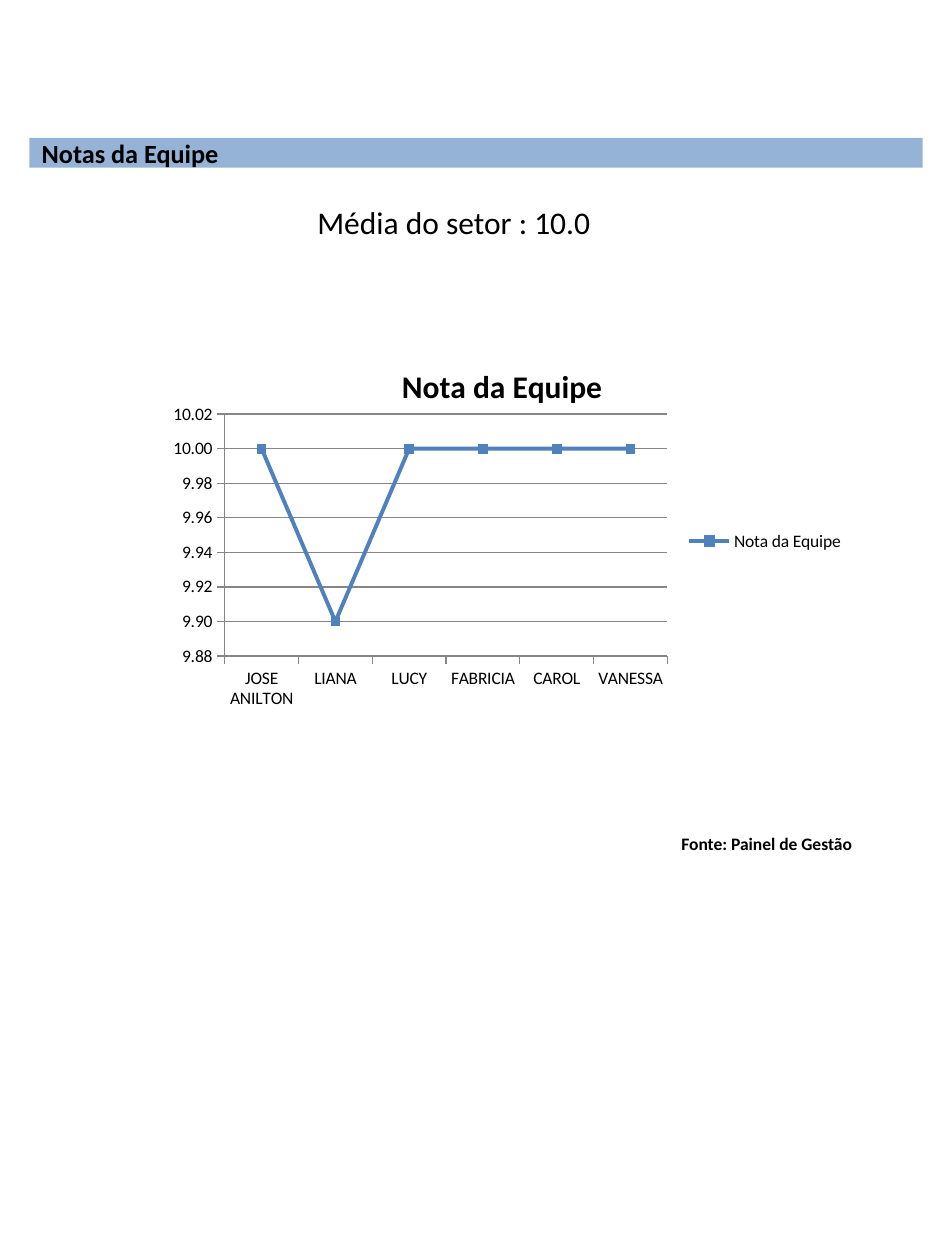
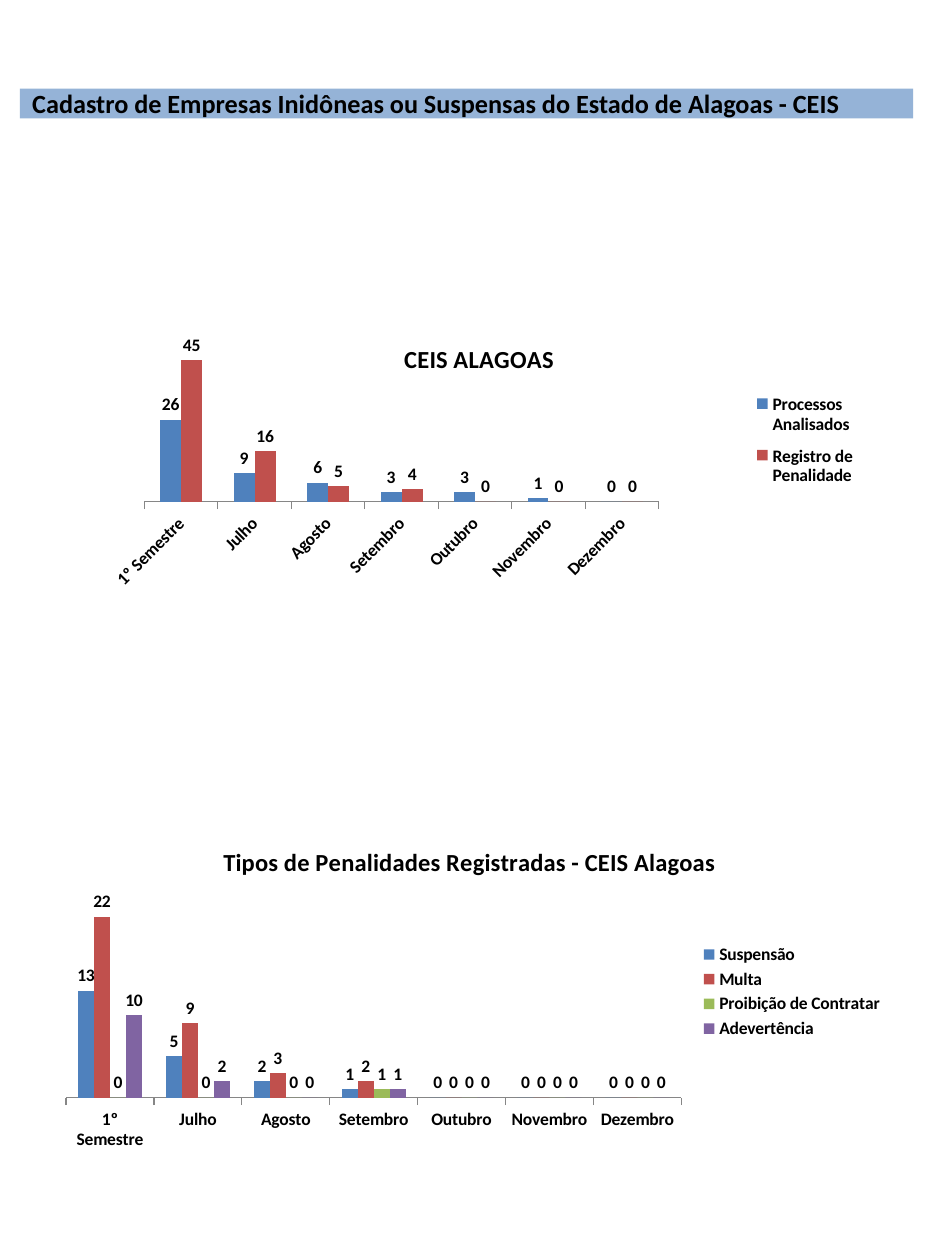
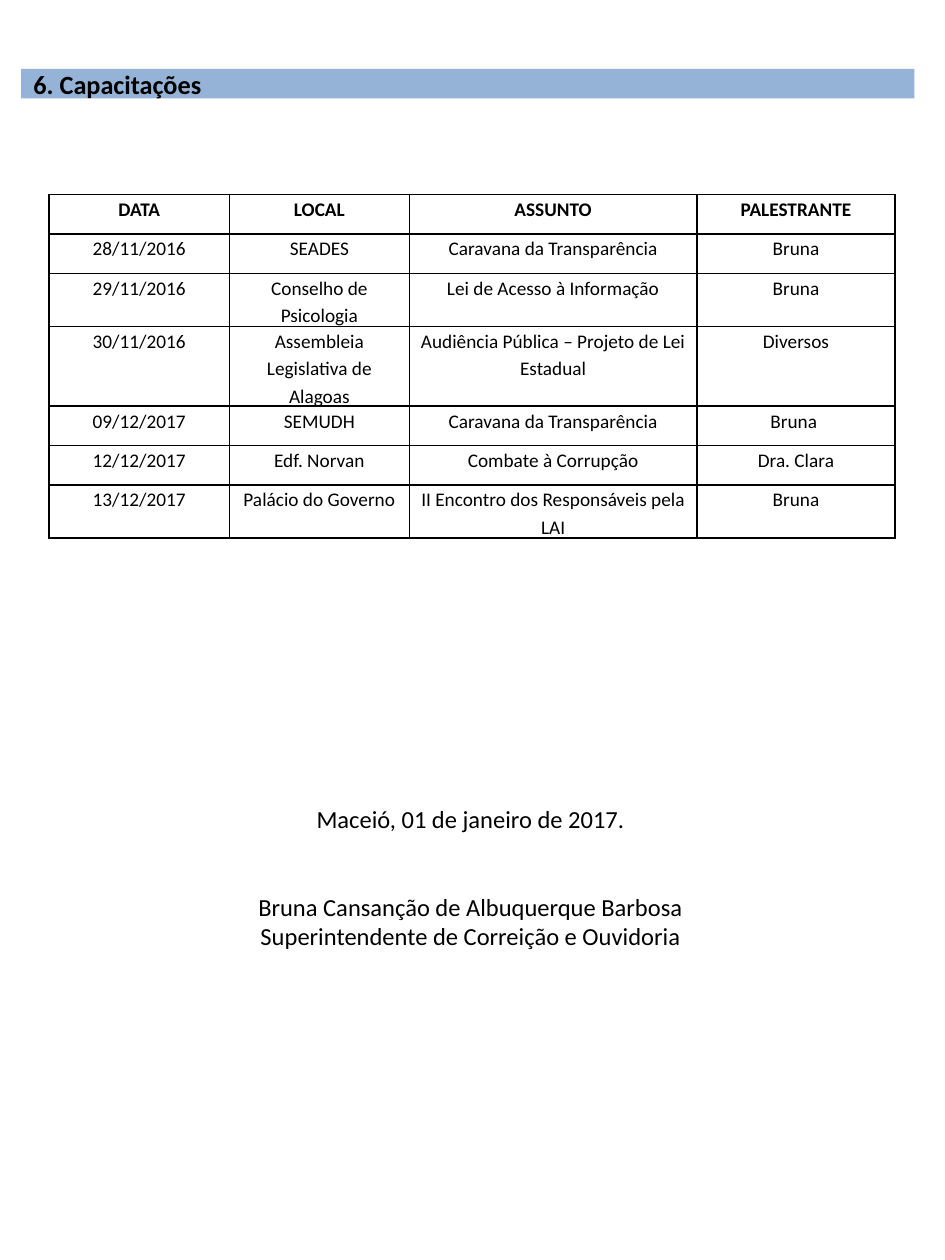
import pptx
import pptx.chart.data
import pptx.dml.color
import pptx.enum.chart
import pptx.enum.shapes
import pptx.enum.text
import pptx.oxml
import pptx.oxml.ns
import pptx.util

FONT = "Calibri"
COLORS = {"band": "95B3D7", "text": "000000", "axis": "868686", "blue": "4F81BD",
          "red": "C0504D", "green": "9BBB59", "purple": "8064A2"}
SERIES_COLORS = ["blue", "red", "green", "purple"]
SLIDE_WIDTH, SLIDE_HEIGHT = pptx.util.Inches(7.5), pptx.util.Inches(10)
BAND_SIZE = (94.53, 2.35)
CENTER = pptx.enum.text.PP_ALIGN.CENTER

PERIODS = ["1º Semestre", "Julho", "Agosto", "Setembro", "Outubro", "Novembro", "Dezembro"]
TEAM_GRADES = {"JOSE ANILTON": 10, "LIANA": 9.9, "LUCY": 10, "FABRICIA": 10, "CAROL": 10, "VANESSA": 10}
CASES = {"Processos Analisados": [26, 9, 6, 3, 3, 1, 0],
         "Registro de Penalidade": [45, 16, 5, 4, 0, 0, 0]}
PENALTIES = {"Suspensão ": [13, 5, 2, 1, 0, 0, 0],
             "Multa": [22, 9, 3, 2, 0, 0, 0],
             "Proibição de Contratar": [0, 0, 0, 1, 0, 0, 0],
             "Adevertência": [10, 2, 0, 1, 0, 0, 0]}
TRAINING = [
    ["DATA", "LOCAL", "ASSUNTO", "PALESTRANTE"],
    ["28/11/2016", "SEADES", "Caravana da Transparência", "Bruna"],
    ["29/11/2016", "Conselho de Psicologia", "Lei de Acesso à Informação", "Bruna"],
    ["30/11/2016", "Assembleia Legislativa de Alagoas",
     "Audiência Pública – Projeto de Lei Estadual", "Diversos"],
    ["09/12/2017", "SEMUDH", "Caravana da Transparência", "Bruna "],
    ["12/12/2017", "Edf. Norvan", "Combate à Corrupção", "Dra. Clara"],
    ["13/12/2017", "Palácio do Governo", "II Encontro dos Responsáveis pela LAI", "Bruna"],
]
COLUMN_WIDTHS = [19.07, 19.07, 30.4, 21]
ROW_HEIGHTS = [3.13, 3.13, 3.9, 4.5, 3.13, 3.13, 3.9]


# Shared helpers: lengths are percentages of the slide's width and height
def across(share):
    return round(SLIDE_WIDTH * share / 100)


def down(share):
    return round(SLIDE_HEIGHT * share / 100)


def place(left, top, width, height):
    return across(left), down(top), across(width), down(height)


def color(name):
    return pptx.dml.color.RGBColor.from_string(COLORS[name])


def set_font(font, size, bold=False):
    font.name = FONT
    font.size = pptx.util.Pt(size)
    font.bold = bold
    font.color.rgb = color("text")


# Text elements
def add_band(slide, left, top, title):
    band = slide.shapes.add_shape(pptx.enum.shapes.MSO_SHAPE.RECTANGLE, *place(left, top, *BAND_SIZE))
    band.shadow.inherit = False
    band.fill.solid()
    band.fill.fore_color.rgb = color("band")
    band.line.fill.background()
    band.text_frame.vertical_anchor = pptx.enum.text.MSO_ANCHOR.MIDDLE
    paragraph = band.text_frame.paragraphs[0]
    paragraph.text = title
    paragraph.alignment = pptx.enum.text.PP_ALIGN.LEFT
    set_font(paragraph.font, 15, True)


def add_text(slide, box, lines, size, bold=False, wrap=False, alignment=None):
    frame = slide.shapes.add_textbox(*place(*box)).text_frame
    frame.word_wrap = wrap
    frame.text = "\n".join(lines)
    for paragraph in frame.paragraphs:
        paragraph.alignment = alignment
        set_font(paragraph.font, size, bold)
    return frame


# Chart elements: layout boxes are percentages of the chart's size
def set_layout(parent, position, box, target=None):
    for old in parent.findall(pptx.oxml.ns.qn("c:layout")):
        parent.remove(old)
    values = [("layoutTarget", target)] if target else []
    values += [("xMode", "edge"), ("yMode", "edge")]
    values += [(side, share / 100) for side, share in zip("xywh", box)]
    items = "".join(f'<c:{tag} val="{value}"/>' for tag, value in values)
    parent.insert(position, pptx.oxml.parse_xml(
        f'<c:layout {pptx.oxml.ns.nsdecls("c")}><c:manualLayout>{items}</c:manualLayout></c:layout>'))


def add_chart(slide, kind, box, title, title_size, categories, series, bold, plot_box=None):
    data = pptx.chart.data.CategoryChartData()
    data.categories = categories
    for name, values in series.items():
        data.add_series(name, values)
    chart = slide.shapes.add_chart(kind, *place(*box), data).chart
    set_font(chart.font, 10)
    chart.has_title = True
    paragraph = chart.chart_title.text_frame.paragraphs[0]
    paragraph.text = title
    set_font(paragraph.font, title_size, True)
    chart.has_legend = True
    chart.legend.position = pptx.enum.chart.XL_LEGEND_POSITION.RIGHT
    chart.legend.include_in_layout = False
    set_font(chart.legend.font, 10, bold)
    set_font(chart.category_axis.tick_labels.font, 10, bold)
    chart.category_axis.format.line.color.rgb = color("axis")
    chart.plots[0].vary_by_categories = False
    if plot_box:
        set_layout(chart._chartSpace.chart.plotArea, 0, plot_box, "inner")
    return chart


def add_line_chart(slide, box, title, grades, plot_box):
    chart = add_chart(slide, pptx.enum.chart.XL_CHART_TYPE.LINE_MARKERS, box, title, 18,
                      list(grades), {title: list(grades.values())}, False, plot_box)
    axis = chart.value_axis
    axis.minimum_scale, axis.maximum_scale, axis.major_unit = 9.88, 10.02, 0.02
    axis.tick_labels.number_format = "0.00;[Red]0.00"
    axis.tick_labels.number_format_is_linked = False
    axis.format.line.color.rgb = color("axis")
    axis.major_gridlines.format.line.color.rgb = color("axis")
    line = chart.plots[0].series[0]
    line.smooth = False
    line.format.line.color.rgb = color("blue")
    line.format.line.width = pptx.util.Pt(2.25)
    line.marker.style = pptx.enum.chart.XL_MARKER_STYLE.SQUARE
    line.marker.size = 5
    line.marker.format.fill.solid()
    line.marker.format.fill.fore_color.rgb = color("blue")
    line.marker.format.line.color.rgb = color("blue")


def add_column_chart(slide, box, title, series, plot_box=None):
    chart = add_chart(slide, pptx.enum.chart.XL_CHART_TYPE.COLUMN_CLUSTERED, box, title, 14,
                      PERIODS, series, True, plot_box)
    chart.value_axis.visible = False
    chart.value_axis.has_major_gridlines = False
    plot = chart.plots[0]
    plot.gap_width = 150
    plot.overlap = 0
    for columns, name in zip(plot.series, SERIES_COLORS):
        columns.format.fill.solid()
        columns.format.fill.fore_color.rgb = color(name)
        labels = columns.data_labels
        labels.show_value = True
        labels.position = pptx.enum.chart.XL_LABEL_POSITION.OUTSIDE_END
        set_font(labels.font, 10, True)
    return chart


# Table elements
def add_borders(cell):
    properties = cell._tc.get_or_add_tcPr()
    for position, side in enumerate(["lnL", "lnR", "lnT", "lnB"]):
        properties.insert(position, pptx.oxml.parse_xml(
            f'<a:{side} {pptx.oxml.ns.nsdecls("a")} w="{pptx.util.Pt(1)}"><a:solidFill>'
            f'<a:srgbClr val="{COLORS["text"]}"/></a:solidFill></a:{side}>'))


def fill_cell(cell, text, bold):
    cell.fill.background()
    add_borders(cell)
    cell.margin_left = cell.margin_right = pptx.util.Inches(0.05)
    cell.margin_top = cell.margin_bottom = 0
    paragraph = cell.text_frame.paragraphs[0]
    paragraph.text = text
    paragraph.alignment = CENTER
    paragraph.line_spacing = 1.15
    paragraph.space_after = pptx.util.Pt(10)
    set_font(paragraph.font, 11, bold)


def add_table(slide, left, top, rows):
    box = place(left, top, sum(COLUMN_WIDTHS), sum(ROW_HEIGHTS))
    table = slide.shapes.add_table(len(rows), len(rows[0]), *box).table
    table.first_row = table.horz_banding = False
    for column, width in zip(table.columns, COLUMN_WIDTHS):
        column.width = across(width)
    for index, (row, height) in enumerate(zip(table.rows, ROW_HEIGHTS)):
        row.height = down(height)
        for cell, text in zip(row.cells, rows[index]):
            fill_cell(cell, text, index == 0)


# Slides
def build_grades(slide):
    add_band(slide, 3.1, 10.95, "Notas da Equipe")
    add_text(slide, (70.8, 65.6, 21.47, 2.7), ["Fonte: Painel de Gestão"], 10, bold=True)
    add_line_chart(slide, (15.6, 27.3, 75.07, 31.3), "Nota da Equipe", TEAM_GRADES,
                   (10.9, 17.8, 62.4, 61.4))
    add_text(slide, (32.27, 15.6, 31.87, 4), ["Média do setor : 10.0"], 18)


def build_register(slide):
    add_band(slide, 2.1, 7.04, "Cadastro de Empresas Inidôneas ou Suspensas do Estado de Alagoas - CEIS")
    cases = add_column_chart(slide, (8.27, 25.8, 85.47, 22.9), "CEIS ALAGOAS ", CASES,
                             (8.2, 6.7, 63.7, 54.5))
    cases.category_axis._element.txPr.bodyPr.set("rot", "-2700000")
    set_layout(cases.legend._element, 1, (81.5, 20, 17, 40))
    add_column_chart(slide, (5.2, 65.65, 89.6, 26.1),
                     "Tipos de Penalidades Registradas - CEIS Alagoas ", PENALTIES)


def build_training(slide):
    add_band(slide, 2.23, 5.46, "6. Capacitações")
    closing = add_text(slide, (11.47, 63.3, 76.67, 12.8),
                       ["Maceió, 01 de janeiro de 2017.", "Bruna Cansanção de Albuquerque Barbosa",
                        "Superintendente de Correição e Ouvidoria"], 14, wrap=True, alignment=CENTER)
    closing.paragraphs[1].space_before = pptx.util.Pt(33.5)
    add_table(slide, 5.2, 15.43, TRAINING)


def main():
    presentation = pptx.Presentation()
    presentation.slide_width, presentation.slide_height = SLIDE_WIDTH, SLIDE_HEIGHT
    for build in (build_grades, build_register, build_training):
        build(presentation.slides.add_slide(presentation.slide_layouts[6]))
    presentation.save("out.pptx")


if __name__ == "__main__":
    main()
